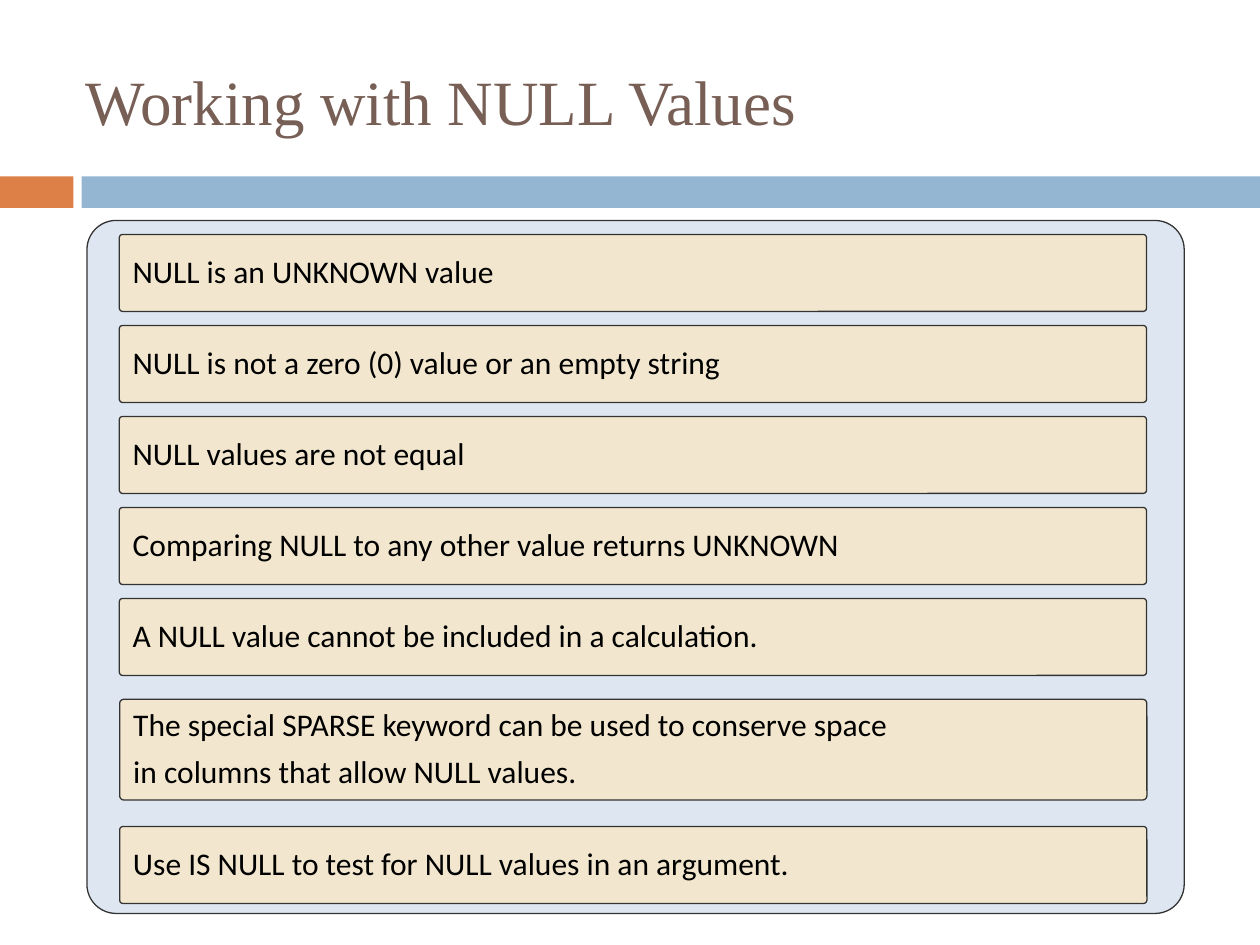
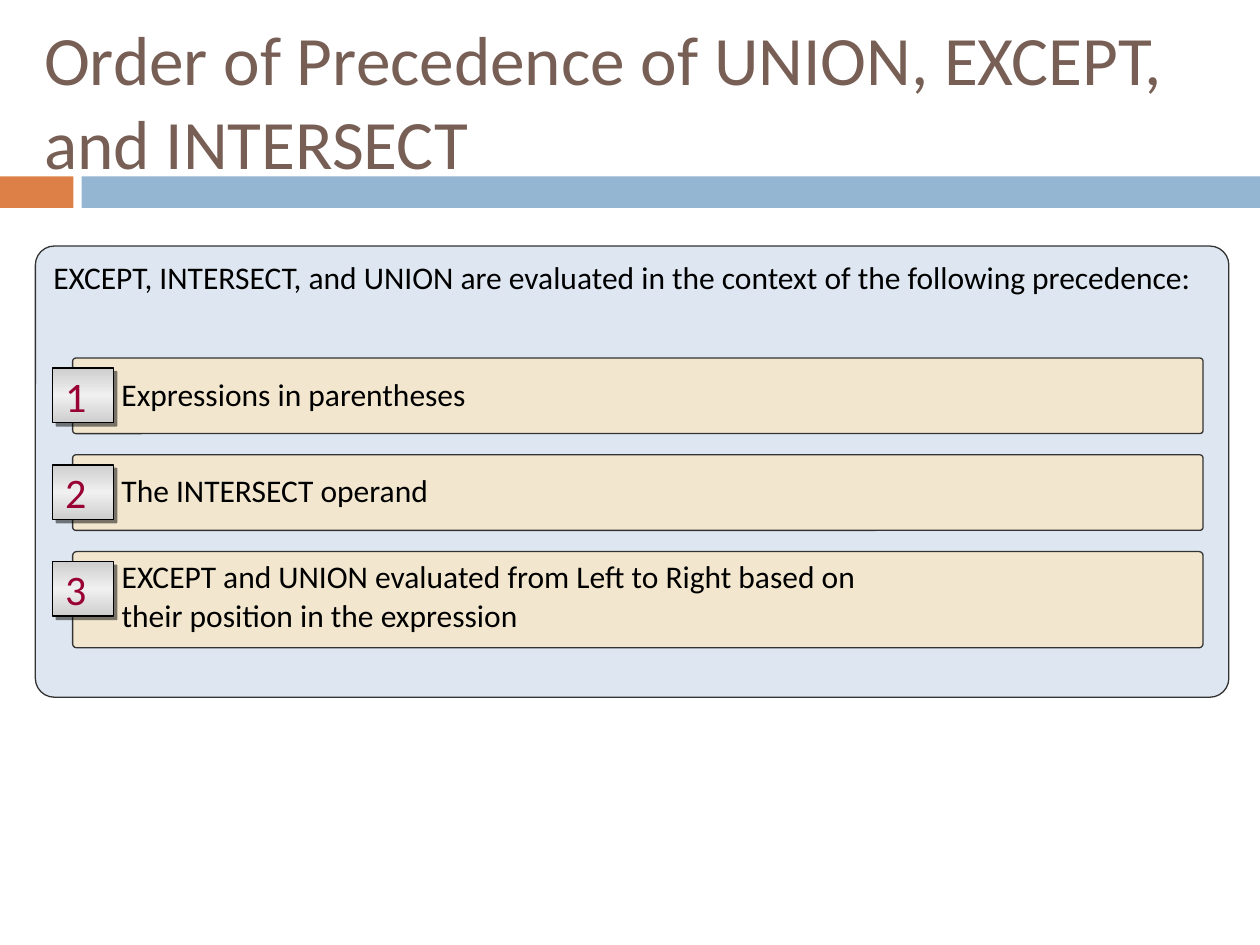
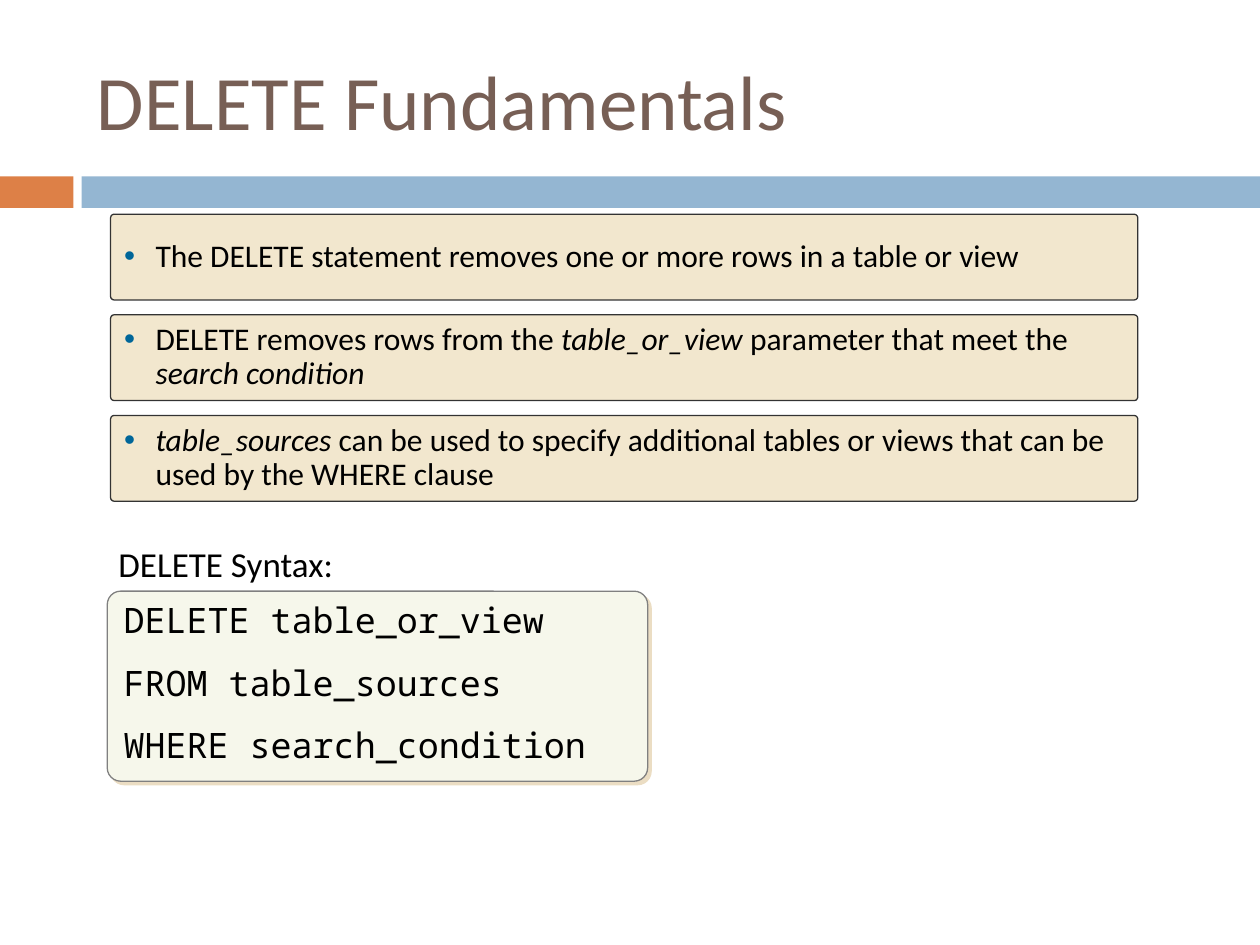
"""Build three slides on NULL values, set operator precedence and DELETE."""
from copy import deepcopy
from dataclasses import dataclass

from pptx import Presentation
from pptx.dml.color import RGBColor as RGB
from pptx.enum.shapes import MSO_SHAPE as SHAPE
from pptx.enum.text import MSO_ANCHOR as ANCHOR, MSO_AUTO_SIZE as AUTOSIZE, PP_ALIGN as ALIGN
from pptx.oxml import parse_xml
from pptx.oxml.ns import nsdecls, qn
from pptx.util import Pt


@dataclass(frozen=True)
class Theme:
    orange: str = "DD8047"
    blue: str = "94B6D2"
    title: str = "775F55"
    panel: str = "DEE7F1"
    bar: str = "F2E7CE"
    edge: str = "333333"
    ink: str = "000000"
    number: str = "990033"
    badge_rim: str = "CECECE"
    badge_mid: str = "F0F0F0"
    bullet: str = "006699"
    code: str = "F6F7EB"
    code_edge: str = "808080"
    code_shadow: str = "EBDDC3"
    sans: str = "Calibri"
    serif: str = "Times New Roman"
    mono: str = "Noto Sans Mono"
    body_size: float = 18
    code_size: float = 20
    number_size: float = 24


T = Theme()


def write(sp, text, size=T.body_size, font=T.sans, color=T.ink, anchor=ANCHOR.MIDDLE,
          spacing=0.9, before=7.2, indent=0, bullet=False):
    """Fill a shape: one paragraph a line, with italics between asterisks."""
    tf = sp.text_frame
    tf.word_wrap, tf.auto_size, tf.vertical_anchor = True, AUTOSIZE.NONE, anchor
    for i, line in enumerate(text.split("\n")):
        p = tf.add_paragraph() if i else tf.paragraphs[0]
        p.alignment, p.line_spacing = ALIGN.LEFT, spacing
        p.space_before = Pt(before if i else 0)
        pPr = p._p.get_or_add_pPr()
        pPr.set("marL", str(Pt(indent)))
        pPr.set("indent", str(Pt(-indent if bullet else 0)))
        if bullet:
            pPr.append(parse_xml(f'<a:buClr {nsdecls("a")}><a:srgbClr val="{T.bullet}"/></a:buClr>'))
            pPr.append(parse_xml(f'<a:buFont {nsdecls("a")} typeface="Arial"/>'))
            pPr.append(parse_xml(f'<a:buChar {nsdecls("a")} char="•"/>'))
        for j, part in enumerate(line.split("*")):
            if part:
                r = p.add_run()
                r.text = part
                r.font.size, r.font.name, r.font.italic = Pt(size), font, j % 2 == 1
                r.font.color.rgb = RGB.from_string(color)


def box(s, x, y, w, h, fill=T.bar, line=T.edge, kind=SHAPE.ROUNDED_RECTANGLE,
        adj=0.042, shadow=None, alpha=100):
    """Add a filled shape, with an optional line and offset shadow."""
    sp = s.shapes.add_shape(kind, Pt(x), Pt(y), Pt(w), Pt(h))
    sp.shadow.inherit = False
    sp.fill.solid()
    sp.fill.fore_color.rgb = RGB.from_string(fill)
    if line:
        sp.line.color.rgb = RGB.from_string(line)
        sp.line.width = Pt(0.75)
    else:
        sp.line.fill.background()
    if kind == SHAPE.ROUNDED_RECTANGLE:
        sp.adjustments[0] = adj
    if shadow:
        sp.element.spPr.find(qn("a:effectLst")).append(parse_xml(
            f'<a:outerShdw {nsdecls("a")} dist="{Pt(2.8)}" dir="2700000" algn="ctr" rotWithShape="0">'
            f'<a:srgbClr val="{shadow}"><a:alpha val="{alpha * 1000}"/></a:srgbClr></a:outerShdw>'))
    return sp


prs = Presentation()
prs.slide_width, prs.slide_height = Pt(720), Pt(540)
layout = prs.slide_layouts[5]
for ph in list(layout.placeholders)[1:]:
    ph.element.getparent().remove(ph.element)

titles = [
    ("Working with NULL Values", 41.8, 642, 79, 36, T.serif),
    ("Order of Precedence of UNION, EXCEPT, and INTERSECT", 18, 672.5, 78, 39.6, T.sans),
    ("DELETE Fundamentals", 48.2, 642, 78, 44, T.sans),
]
for text, x, w, h, size, font in titles:
    s = prs.slides.add_slide(layout)
    sp = s.shapes.title
    sp.left, sp.top, sp.width, sp.height = Pt(x), Pt(18), Pt(w), Pt(h)
    write(sp, text, size=size, font=font, color=T.title, spacing=1.0)
null_slide, order_slide, delete_slide = prs.slides

for x, w, color in [(0, 42, T.orange), (46.6, 673.4, T.blue)]:
    band = box(null_slide, x, 100.8, w, 18, fill=color, line=None, kind=SHAPE.RECTANGLE)
    layout.shapes.element.append(band.element)

s = null_slide
box(s, 49.7, 126, 627, 396, fill=T.panel)
facts = [
    "NULL is an UNKNOWN value",
    "NULL is not a zero (0) value or an empty string",
    "NULL values are not equal",
    "Comparing NULL to any other value returns UNKNOWN",
    "A NULL value cannot be included in a calculation.",
]
for i, text in enumerate(facts):
    write(box(s, 68.2, 134 + 52 * i, 587, 44), text)
write(box(s, 68.4, 399.6, 587, 57.6),
      "The special SPARSE keyword can be used to conserve space\nin columns that allow NULL values.")
write(box(s, 68.4, 472.3, 587, 44), "Use IS NULL to test for NULL values in an argument.")

s = order_slide
panel = box(s, 20.2, 140.6, 682, 257.8, fill=T.panel)
write(panel, "EXCEPT, INTERSECT, and UNION are evaluated in the context of the following precedence:",
      anchor=ANCHOR.TOP, spacing=1.0)
steps = [
    ("Expressions in parentheses", 43.2, 0.9),
    ("The INTERSECT operand", 43.2, 0.9),
    ("EXCEPT and UNION evaluated from Left to Right based on\ntheir position in the expression", 55, 0.7),
]
for i, (text, h, spacing) in enumerate(steps):
    y = 204.6 + 55.3 * i
    write(box(s, 41.5, y, 646, h), text, spacing=spacing, indent=20.3)
    badge = box(s, 30.2, y + 5.8, 34.5, 31, line=T.ink, adj=0, shadow=T.ink, alpha=50)
    badge.fill.gradient()
    badge.fill.gradient_angle = 90
    stops = badge.element.spPr.find(qn("a:gradFill")).find(qn("a:gsLst"))
    stops.insert(1, deepcopy(stops[0]))
    for stop, pos, color in zip(badge.fill.gradient_stops, (0, 0.5, 1),
                                (T.badge_rim, T.badge_mid, T.badge_rim)):
        stop.position, stop.color.rgb = pos, RGB.from_string(color)
    write(badge, str(i + 1), size=T.number_size, color=T.number, spacing=1.0)

s = delete_slide
rules = [
    "The DELETE statement removes one or more rows in a table or view",
    "DELETE removes rows from the *table_or_view* parameter that meet the *search condition*",
    "*table_sources* can be used to specify additional tables or views that can be used by the WHERE clause",
]
for i, text in enumerate(rules):
    write(box(s, 63.2, 122.4 + 57.5 * i, 587, 49), text, indent=18, bullet=True)
label = s.shapes.add_textbox(Pt(67.7), Pt(312.5), Pt(210), Pt(24.5))
tf = label.text_frame
tf.margin_left = tf.margin_top = tf.margin_right = tf.margin_bottom = 0
write(label, "DELETE Syntax:", size=T.code_size, anchor=ANCHOR.TOP)
code = box(s, 61.3, 337.8, 308.8, 108.6, fill=T.code, line=T.code_edge, adj=0.071, shadow=T.code_shadow)
write(code, "DELETE table_or_view\nFROM table_sources\nWHERE search_condition",
      size=T.code_size, font=T.mono, spacing=0.8, before=16.5)

prs.save("out.pptx")
